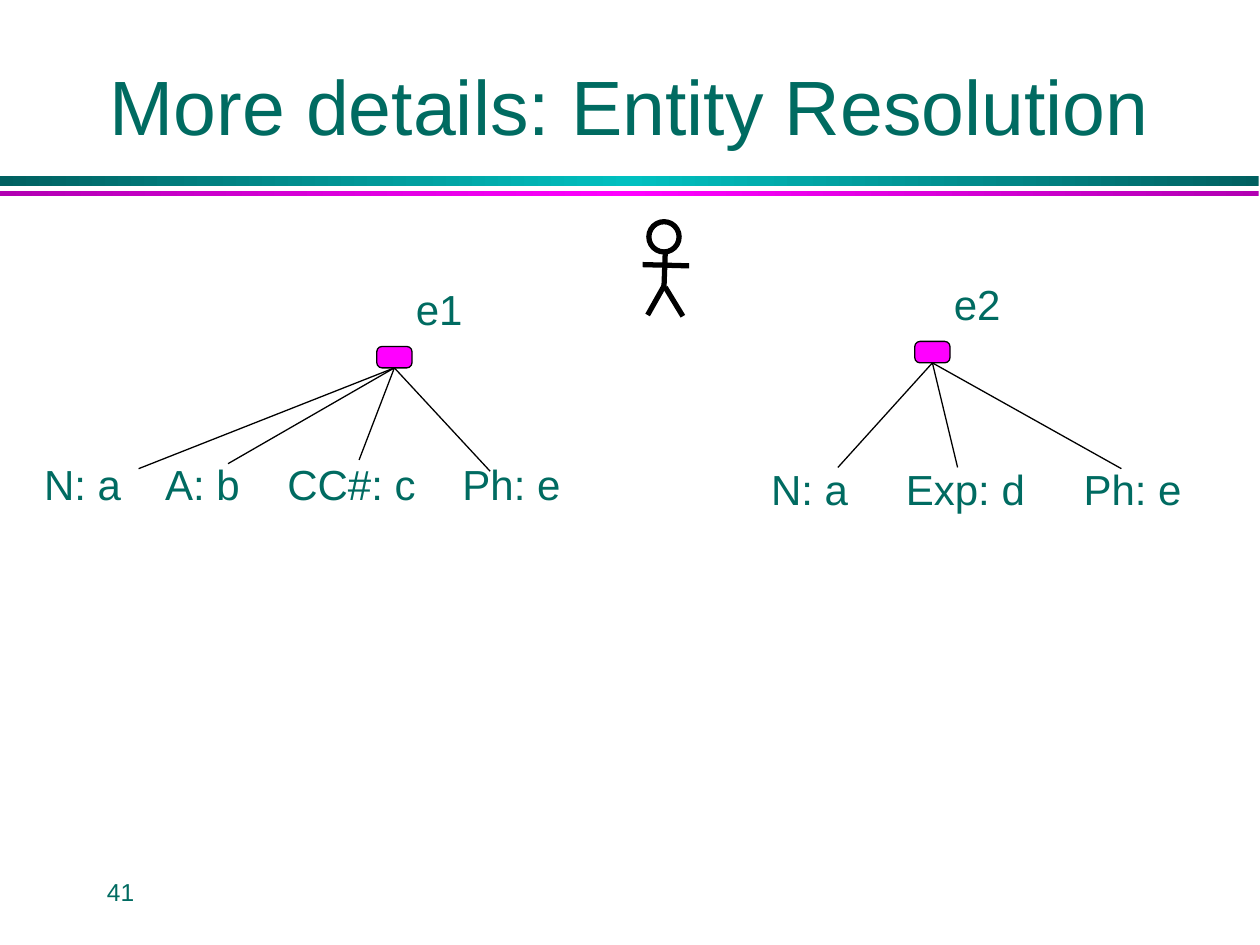
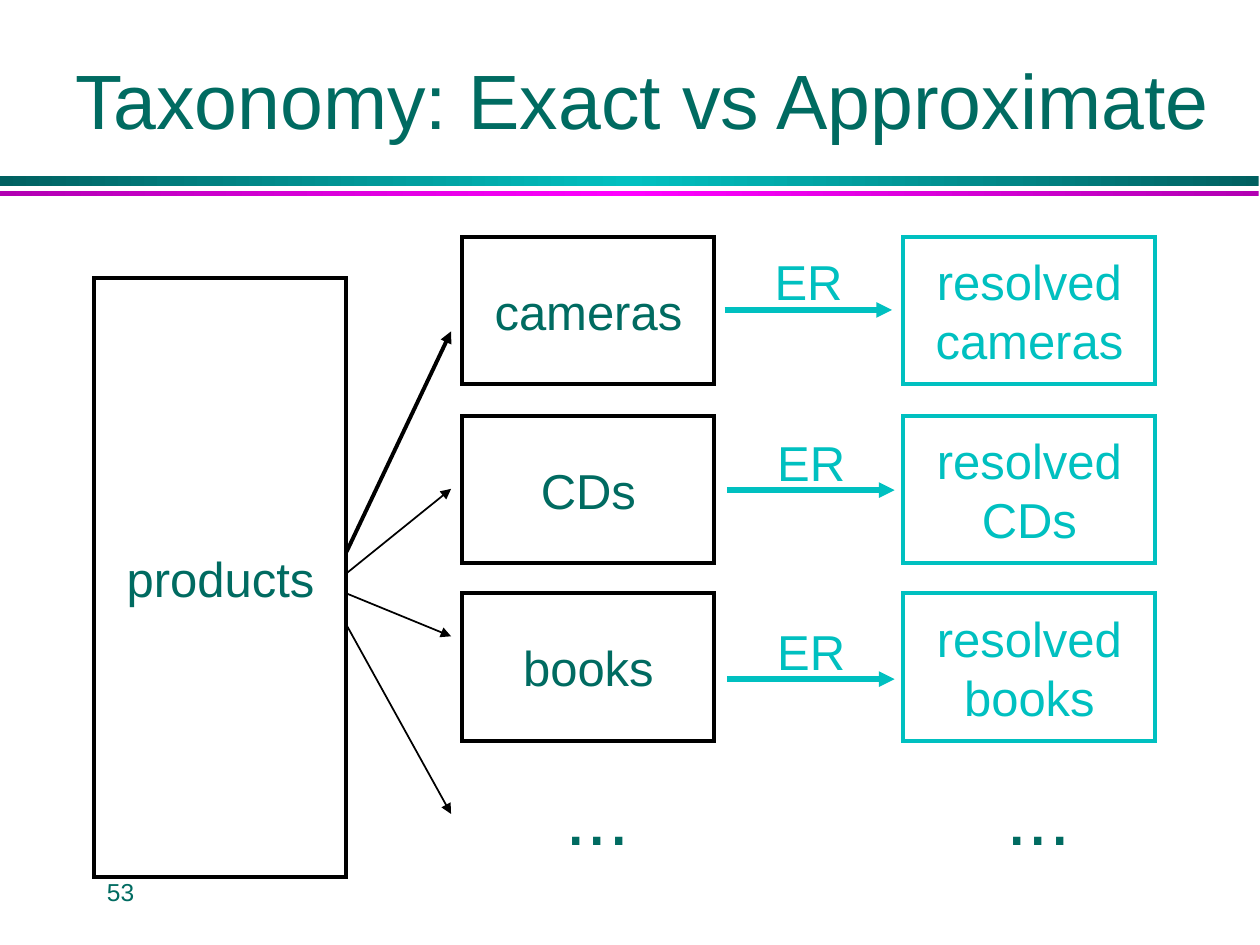
from copy import deepcopy

from lxml.etree import SubElement
from pptx import Presentation
from pptx.dml.color import RGBColor
from pptx.enum.shapes import MSO_CONNECTOR, MSO_SHAPE
from pptx.enum.text import MSO_ANCHOR, PP_ALIGN
from pptx.oxml.ns import qn
from pptx.util import Inches, Pt

COLORS = {
    "text": "006B61",
    "line": "000000",
    "teal": "00C0C0",
    "dark_teal": "006060",
    "magenta": "FF00FF",
    "dark_magenta": "B200B2",
}
FONT = "Arial"


def rgb(name):
    """Return the named colour."""
    return RGBColor.from_string(COLORS[name])


def write(tf, text, size=24, color="text", align=PP_ALIGN.LEFT,
          anchor=MSO_ANCHOR.TOP, wrap=False, inset=True, spacing=None, tabs=()):
    """Fill a text frame, one paragraph for each line of text."""
    tf.word_wrap = wrap
    tf.vertical_anchor = anchor
    tf.margin_left = tf.margin_right = Inches(0.1 if inset else 0)
    tf.margin_top = tf.margin_bottom = Inches(0.05 if inset else 0)
    for i, line in enumerate(text.split("\n")):
        p = tf.add_paragraph() if i else tf.paragraphs[0]
        p.alignment = align
        if spacing:
            p.line_spacing = spacing
        if tabs:
            stops = SubElement(p._p.get_or_add_pPr(), qn("a:tabLst"))
            for tab in tabs:
                SubElement(stops, qn("a:tab"), pos=str(Inches(tab)), algn="l")
        r = p.add_run()
        r.text = line
        r.font.name = FONT
        r.font.size = Pt(size)
        r.font.color.rgb = rgb(color)


def add_text(s, text, x, y, w, h, **fmt):
    """Add a text box."""
    tb = s.shapes.add_textbox(Inches(x), Inches(y), Inches(w), Inches(h))
    write(tb.text_frame, text, **fmt)


def add_box(s, kind, x, y, w, h, fill=None, line="line", width=0.75):
    """Add an outlined preset shape with sharp corners."""
    sp = s.shapes.add_shape(kind, Inches(x), Inches(y), Inches(w), Inches(h))
    sp.shadow.inherit = False
    if fill:
        sp.fill.solid()
        sp.fill.fore_color.rgb = rgb(fill)
    else:
        sp.fill.background()
    sp.line.color.rgb = rgb(line)
    sp.line.width = Pt(width)
    SubElement(sp.line._get_or_add_ln(), qn("a:miter"), lim="800000")
    return sp


def add_line(s, x1, y1, x2, y2, color="line", width=0.75, arrow=False):
    """Add a straight line, with an arrowhead at its end if wanted."""
    c = s.shapes.add_connector(MSO_CONNECTOR.STRAIGHT, Inches(x1), Inches(y1),
                               Inches(x2), Inches(y2))
    c.line.color.rgb = rgb(color)
    c.line.width = Pt(width)
    if arrow:
        SubElement(c.line._get_or_add_ln(), qn("a:tailEnd"), type="triangle")
    SubElement(c._element.spPr, qn("a:effectLst"))
    return c


def add_band(s, y, h, edge, middle):
    """Add a full-width band that is lighter in the middle."""
    sp = s.shapes.add_shape(MSO_SHAPE.RECTANGLE, 0, Inches(y), Inches(9.99), Inches(h))
    sp.shadow.inherit = False
    sp.line.fill.background()
    sp.fill.gradient()
    sp.fill.gradient_angle = 0
    for stop, color, position in zip(sp.fill.gradient_stops, (edge, middle), (0, 0.5)):
        stop.color.rgb = rgb(color)
        stop.position = position
    stops = sp._element.spPr.find(".//" + qn("a:gsLst"))
    last = deepcopy(stops[0])
    last.set("pos", "100000")
    stops.append(last)


def add_slide(prs, title, number, x, y, w, h):
    """Add a slide with its bands, page number and title."""
    s = prs.slides.add_slide(prs.slide_layouts[6])
    add_band(s, 1.4, 0.08, "dark_teal", "teal")
    add_band(s, 1.52, 0.04, "dark_magenta", "magenta")
    add_text(s, str(number), 0.75, 6.83, 2.08, 0.5, size=14, anchor=MSO_ANCHOR.MIDDLE)
    add_text(s, title, x, y, w, h, size=44, align=PP_ALIGN.CENTER,
             anchor=MSO_ANCHOR.BOTTOM, wrap=True)
    return s


def add_person(s):
    """Add the stick figure."""
    add_box(s, MSO_SHAPE.OVAL, 5.15, 1.76, 0.24, 0.24, width=3)
    for limb in ((5.28, 2, 5.27, 2.28), (5.27, 2.27, 5.14, 2.5),
                 (5.28, 2.28, 5.42, 2.51), (5.1, 2.1, 5.47, 2.11)):
        add_line(s, *limb, width=3)


def add_entity(s, name, x, y, attributes, left, top, width, tabs, ends):
    """Add an entity node with lines down to its attributes."""
    node = add_box(s, MSO_SHAPE.ROUNDED_RECTANGLE, x, y, 0.28, 0.17, fill="magenta")
    node.adjustments[0] = 0.25
    add_text(s, name, x + 0.31, y - 0.53, 0.45, 0.43, wrap=True,
             inset=False, spacing=1.08)
    add_text(s, "\t".join(attributes), left, top, width, 0.43, wrap=True,
             inset=False, spacing=1.08, tabs=tabs)
    for end in ends:
        add_line(s, x, y, *end).begin_connect(node, 2)


def add_label_box(s, text, x, y, h, line="line", color="text"):
    """Add a box with a centred label."""
    sp = add_box(s, MSO_SHAPE.RECTANGLE, x, y, 2, h, line=line, width=2.25)
    write(sp.text_frame, text, size=28, color=color, align=PP_ALIGN.CENTER,
          anchor=MSO_ANCHOR.MIDDLE)


def build_entities(prs):
    """Build the slide on entity resolution."""
    s = add_slide(prs, "More details: Entity Resolution", 41, 0.75, 0.25, 8.5, 1)
    add_person(s)
    add_entity(s, "e1", 2.99, 2.75, ("N: a", "A: b", "CC#: c", "Ph: e"),
               0.35, 3.61, 4.15, (0.96, 1.93, 3.32),
               ((1.1, 3.72), (1.81, 3.68), (2.85, 3.65), (3.89, 3.74)))
    add_entity(s, "e2", 7.26, 2.71, ("N: a", "Exp: d", "Ph: e"),
               6.12, 3.65, 3.3, (1.07, 2.48),
               ((6.65, 3.71), (7.6, 3.71), (8.9, 3.72)))


def build_taxonomy(prs):
    """Build the slide on exact and approximate resolution."""
    s = add_slide(prs, "Taxonomy: Exact vs Approximate", 53, 0.42, 0.32, 9.36, 0.88)
    add_label_box(s, "products", 0.75, 2.21, 4.75)
    rows = (("cameras", 1.88, 5.75, 2.46), ("CDs", 3.3, 5.77, 3.89),
            ("books", 4.71, 5.77, 5.39))
    for category, top, arrow_x, arrow_y in rows:
        add_label_box(s, category, 3.67, top, 1.17)
        add_label_box(s, f"resolved\n{category}", 7.17, top, 1.17, line="teal", color="teal")
        add_line(s, arrow_x, arrow_y, arrow_x + 1.33, arrow_y, color="teal",
                 width=3, arrow=True)
        add_text(s, "ER", arrow_x + 0.3, arrow_y - 0.51, 0.74, 0.57, size=28, color="teal")
    for x in (4.39, 7.89):
        add_text(s, "...", x, 6.05, 0.71, 0.84, size=44)
    for y1, y2, width in ((4.38, 2.63, 2.25), (4.55, 3.88, 1),
                          (4.71, 5.05, 1), (4.96, 6.46, 1)):
        add_line(s, 2.75, y1, 3.58, y2, width=width, arrow=True)


def main():
    """Build and save the presentation."""
    prs = Presentation()
    prs.slide_width, prs.slide_height = Inches(10), Inches(7.5)
    build_entities(prs)
    build_taxonomy(prs)
    prs.save("out.pptx")


if __name__ == "__main__":
    main()
